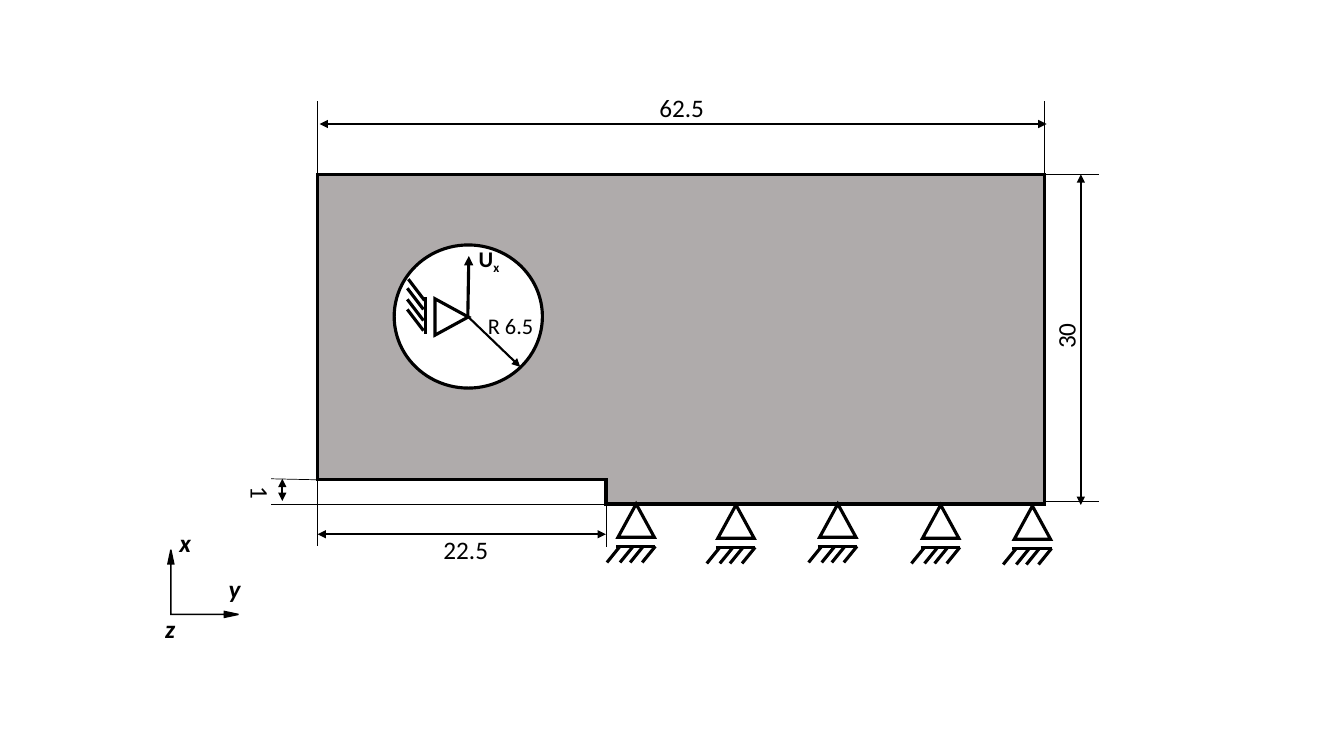
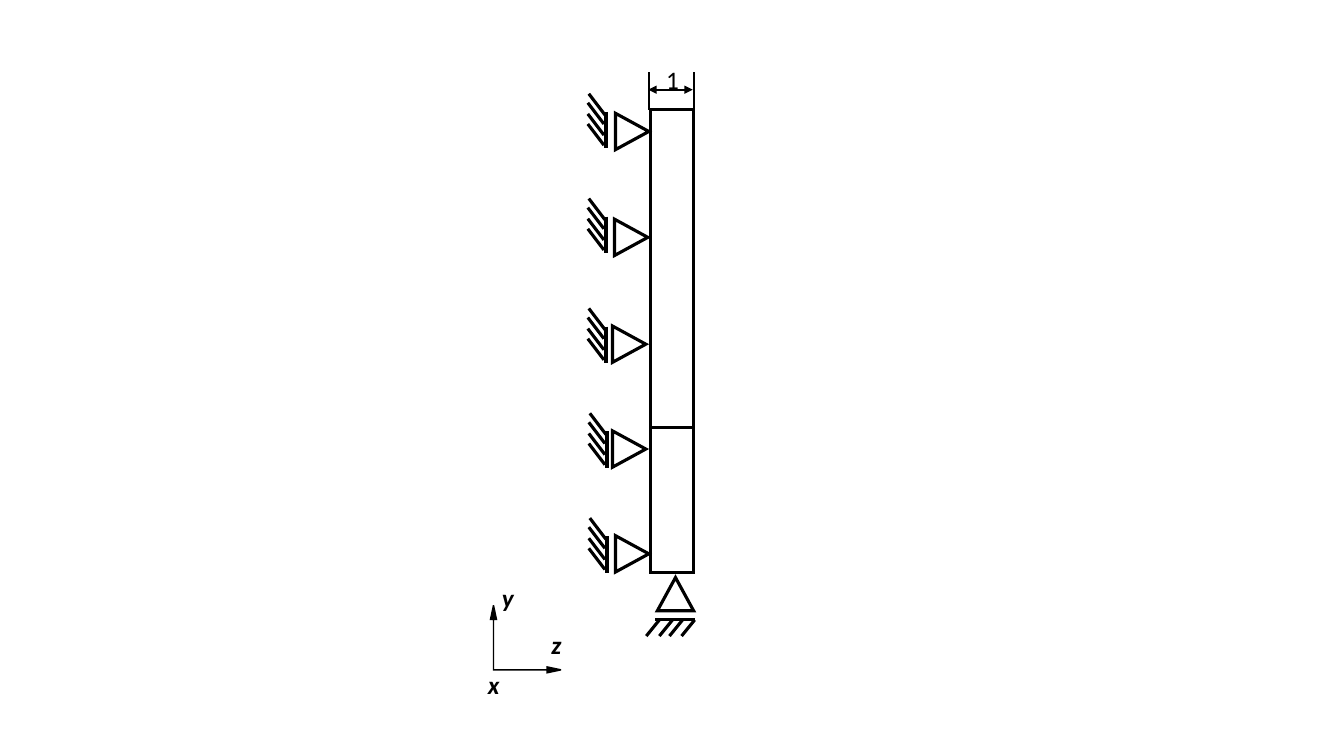
from dataclasses import dataclass

from lxml.etree import SubElement
from pptx import Presentation
from pptx.dml.color import RGBColor
from pptx.enum.shapes import MSO_CONNECTOR, MSO_SHAPE
from pptx.enum.text import MSO_AUTO_SIZE
from pptx.oxml.ns import qn
from pptx.util import Inches, Pt


@dataclass(frozen=True)
class Theme:
    ink: RGBColor = RGBColor(0x00, 0x00, 0x00)
    paper: RGBColor = RGBColor(0xFF, 0xFF, 0xFF)
    plate: RGBColor = RGBColor(0xAF, 0xAB, 0xAB)
    font: str = "Calibri"
    label: int = 18
    small_label: int = 16
    outline: float = 2.25
    dimension: float = 1.5
    axis: float = 1
    extension: float = 0.5


THEME = Theme()

# Supports: triangle 0.36 wide and 0.33 high, wall line and four hatch strokes
TRIANGLE = (0.36, 0.33)
FLOOR_HATCHES = (-0.11, 0.02, 0.12, 0.24)
WALL_HATCHES = ((-0.17, -0.18), (-0.18, -0.09), (-0.18, 0.02), (-0.18, 0.12))

# Front view
PLATE = [(3.15, 1.73), (10.36, 1.73), (10.36, 5), (6.01, 5), (6.01, 4.76), (3.15, 4.76)]
HOLE = (3.91, 2.43, 1.47, 1.42)
HOLE_CENTRE = (4.64, 3.14)
PLATE_SUPPORTS = [(6.13, 5), (7.12, 5.01), (8.13, 5), (9.15, 5.01), (10.06, 5.02)]
HOLE_SUPPORT = ((4.3, 2.98), (4.22, 2.95))
PLATE_EXTENSIONS = [
    ((10.36, 1.73), (10.9, 1.73)),
    ((10.36, 4.97), (10.9, 4.97)),
    ((3.15, 4.76), (2.69, 4.75)),
    ((6.01, 5), (2.69, 5)),
    ((3.15, 4.76), (3.15, 5.42)),
    ((6.01, 4.76), (6.01, 5.43)),
    ((3.15, 1.73), (3.15, 1)),
    ((10.36, 1.73), (10.36, 1)),
]
PLATE_DIMENSIONS = [  # start, end, value, label box, rotation
    ((3.17, 1.23), (10.38, 1.23), "62.5", (6.44, 0.87, 0.65, 0.4), 0),
    ((3.15, 5.3), (6.01, 5.3), "22.5", (4.3, 5.25, 0.65, 0.4), 0),
    ((10.72, 1.73), (10.72, 5.01), "30", (10.34, 3.13, 0.46, 0.4), 270),
    ((2.8, 4.75), (2.8, 4.97), "1", (2.42, 4.69, 0.33, 0.4), 90),
]

# Side view
STRIP = (6.45, 1.09, 0.43, 4.59)
STRIP_STEP = ((6.45, 4.24), (6.88, 4.24))
STRIP_SUPPORT = (6.52, 5.73)
STRIP_WALL_SUPPORTS = [  # triangle, top of wall line
    ((6.09, 1.14), (6.01, 1.11)),
    ((6.08, 2.19), (6.01, 2.15)),
    ((6.06, 3.25), (6.01, 3.24)),
    ((6.06, 4.29), (6.02, 4.28)),
    ((6.09, 5.33), (6.02, 5.32)),
]
STRIP_EXTENSIONS = [((6.88, 1.09), (6.88, 0.71)), ((6.44, 1.09), (6.44, 0.71))]
STRIP_DIMENSION = ((6.43, 0.89), (6.87, 0.89), "1", (6.51, 0.59, 0.33, 0.4), 0)


def style_shape(shape, fill, width=THEME.outline):
    shape.shadow.inherit = False
    shape.fill.solid()
    shape.fill.fore_color.rgb = fill
    shape.line.color.rgb = THEME.ink
    shape.line.width = Pt(width)
    outline = shape._element.spPr.find(qn("a:ln"))
    SubElement(outline, qn("a:miter")).set("lim", "800000")


def add_preset(slide, kind, box, fill=THEME.paper, width=THEME.outline, rotation=0):
    shape = slide.shapes.add_shape(kind, *map(Inches, box))
    shape.rotation = rotation
    style_shape(shape, fill, width)
    return shape


def add_line(slide, start, end, width=THEME.outline, arrows=()):
    """Draw a line; arrows may hold headEnd (at start) and tailEnd (at end)."""
    connector = slide.shapes.add_connector(
        MSO_CONNECTOR.STRAIGHT, *map(Inches, (*start, *end)))
    connector.line.color.rgb = THEME.ink
    connector.line.width = Pt(width)
    properties = connector._element.spPr
    for arrow in arrows:
        SubElement(properties.find(qn("a:ln")), qn(f"a:{arrow}")).set("type", "triangle")
    SubElement(properties, qn("a:effectLst"))


def add_label(slide, text, box, size=THEME.label, bold=False, italic=False,
              subscript="", wrap=False, rotation=0):
    text_box = slide.shapes.add_textbox(*map(Inches, box))
    text_box.rotation = rotation
    frame = text_box.text_frame
    frame.word_wrap = wrap
    frame.auto_size = MSO_AUTO_SIZE.SHAPE_TO_FIT_TEXT
    paragraph = frame.paragraphs[0]
    for content, baseline in ((text, None), (subscript, "-25000")):
        if not content:
            continue
        run = paragraph.add_run()
        run.text = content
        run.font.name = THEME.font
        run.font.size = Pt(size)
        run.font.bold = bold
        run.font.italic = italic
        run.font.color.rgb = THEME.ink
        if baseline:
            run._r.get_or_add_rPr().set("baseline", baseline)


def add_dimension(slide, start, end, value, box, rotation):
    add_line(slide, start, end, THEME.dimension, ("headEnd", "tailEnd"))
    add_label(slide, value, box, rotation=rotation)


def add_floor_support(slide, left, top):
    add_preset(slide, MSO_SHAPE.ISOSCELES_TRIANGLE, (left, top, *TRIANGLE))
    floor = top + 0.42
    add_line(slide, (left - 0.02, floor), (left + 0.37, floor))
    for offset in FLOOR_HATCHES:
        foot = left + offset
        add_line(slide, (foot, floor + 0.16), (foot + 0.13, floor))


def add_wall_support(slide, triangle, wall):
    add_preset(slide, MSO_SHAPE.ISOSCELES_TRIANGLE, (*triangle, *TRIANGLE), rotation=90)
    left, top = wall
    add_line(slide, wall, (left, top + 0.36))
    for across, down in WALL_HATCHES:
        x, y = left + across, top + down
        add_line(slide, (x, y), (x + 0.16, y + 0.21))


def add_axes(slide, left, top, up, right, outward):
    """Draw the coordinate arrows with the names of the three axes."""
    arrow = add_preset(slide, MSO_SHAPE.LEFT_UP_ARROW, (left, top, 0.67, 0.7),
                       THEME.ink, THEME.axis, 90)
    for index, value in enumerate((0, 0.044, 0.208)):
        arrow.adjustments[index] = value
    for name, across, down in ((up, 0, -0.26), (outward, -0.14, 0.6), (right, 0.49, 0.2)):
        add_label(slide, name, (left + across, top + down, 0.32, 0.4),
                  bold=True, italic=True, wrap=True)


def build_front_view(slide):
    start, *corners = [tuple(map(Inches, point)) for point in PLATE]
    builder = slide.shapes.build_freeform(*start)
    builder.add_line_segments(corners, close=True)
    style_shape(builder.convert_to_shape(), THEME.plate)
    add_preset(slide, MSO_SHAPE.OVAL, HOLE)
    for position in PLATE_SUPPORTS:
        add_floor_support(slide, *position)
    add_wall_support(slide, *HOLE_SUPPORT)
    add_line(slide, HOLE_CENTRE, (4.65, 2.54), arrows=("tailEnd",))
    add_label(slide, "U", (4.65, 2.38, 0.53, 0.4), THEME.small_label,
              bold=True, subscript="x", wrap=True)
    add_axes(slide, 1.68, 5.44, up="x", right="y", outward="z")
    for start, end in PLATE_EXTENSIONS:
        add_line(slide, start, end, THEME.extension)
    for dimension in PLATE_DIMENSIONS:
        add_dimension(slide, *dimension)
    add_line(slide, HOLE_CENTRE, (5.16, 3.64), THEME.dimension, ("tailEnd",))
    add_label(slide, "R 6.5", (4.74, 3.05, 0.66, 0.37), THEME.small_label)


def build_side_view(slide):
    add_preset(slide, MSO_SHAPE.RECTANGLE, STRIP)
    add_axes(slide, 4.88, 5.99, up="y", right="z", outward="x")
    add_floor_support(slide, *STRIP_SUPPORT)
    for triangle, wall in STRIP_WALL_SUPPORTS:
        add_wall_support(slide, triangle, wall)
    add_line(slide, *STRIP_STEP)
    for start, end in STRIP_EXTENSIONS:
        add_line(slide, start, end, THEME.dimension)
    add_dimension(slide, *STRIP_DIMENSION)


def main():
    presentation = Presentation()
    presentation.slide_width = Inches(13.33)
    presentation.slide_height = Inches(7.5)
    blank = presentation.slide_layouts[6]
    for build in (build_front_view, build_side_view):
        build(presentation.slides.add_slide(blank))
    presentation.save("out.pptx")


if __name__ == "__main__":
    main()
